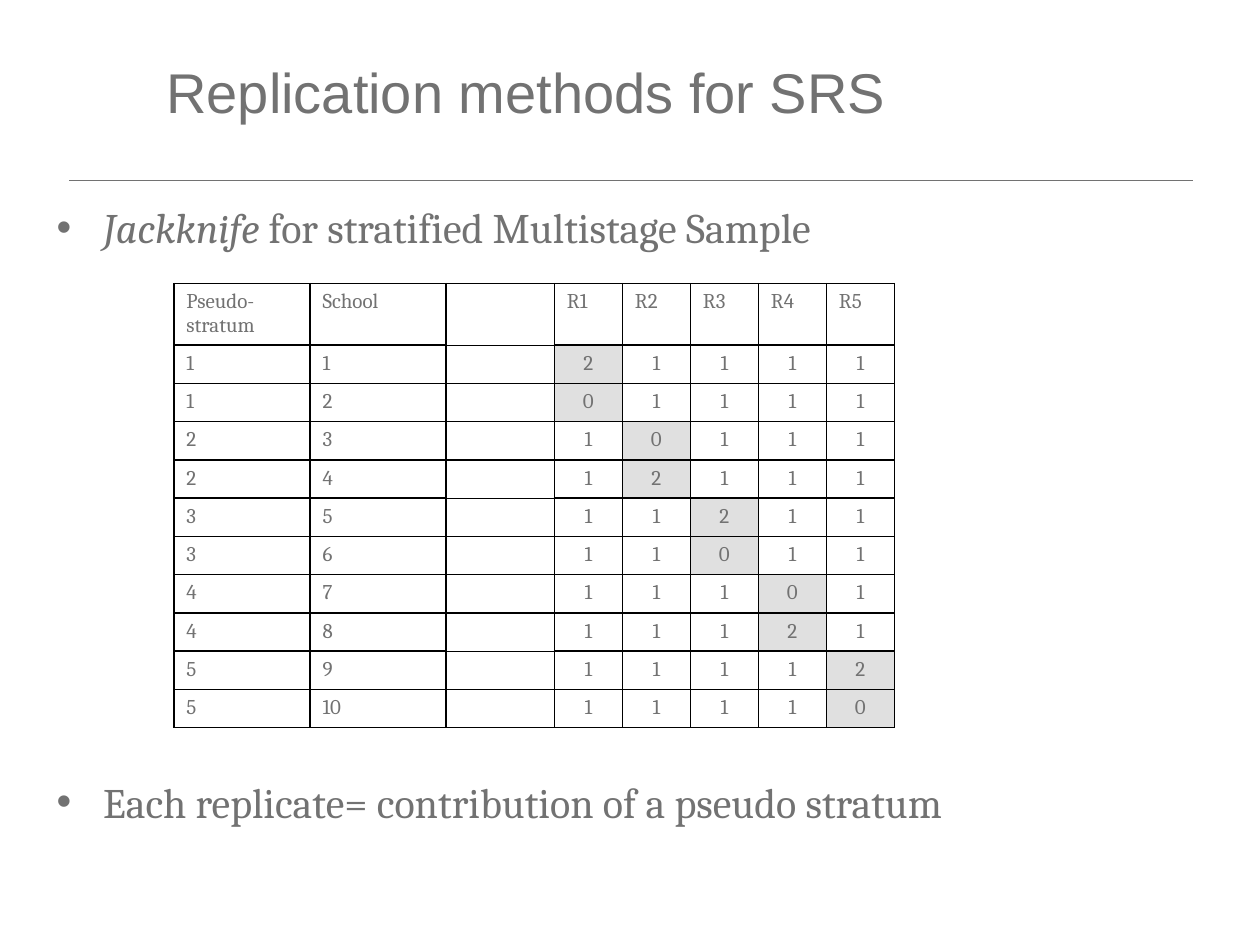
from pptx import Presentation
from pptx.dml.color import RGBColor
from pptx.enum.shapes import MSO_CONNECTOR
from pptx.enum.text import MSO_ANCHOR, PP_ALIGN
from pptx.oxml.ns import qn
from pptx.util import Inches, Pt
from lxml.etree import SubElement

GREY = "727272"
BLACK = "000000"
SHADE = "E0E0E0"
BLANK_COLUMN = 2
FIRST_REPLICATE = 3
REPLICATES = 5
WEIGHT_PAIRS = [(2, 0), (0, 2), (2, 0), (0, 2), (2, 0)]


def color(hex_value):
    return RGBColor.from_string(hex_value)


def add_run(paragraph, text, size, font="Cambria", italic=False):
    run = paragraph.add_run()
    run.text = text
    run.font.name = font
    run.font.size = Pt(size)
    run.font.italic = italic
    run.font.color.rgb = color(GREY)


def set_indent(paragraph, inches):
    properties = paragraph._p.get_or_add_pPr()
    properties.set("marL", str(Inches(inches)))
    properties.set("indent", str(-Inches(inches)))
    return properties


def place_title(slide, left, top, width, height):
    title = slide.shapes.title
    title.left, title.top = Inches(left), Inches(top)
    title.width, title.height = Inches(width), Inches(height)
    frame = title.text_frame
    frame.vertical_anchor = MSO_ANCHOR.MIDDLE
    heading = frame.paragraphs[0]
    heading.alignment = PP_ALIGN.LEFT
    add_run(heading, "Replication methods for SRS", 32, "Arial")


def add_rule(slide, left, top, width):
    rule = slide.shapes.add_connector(
        MSO_CONNECTOR.STRAIGHT,
        Inches(left), Inches(top), Inches(left + width), Inches(top))
    rule.line.color.rgb = color(GREY)
    rule.line.width = Pt(0.5)
    SubElement(rule._element.spPr, qn("a:effectLst"))


def add_bullet(slide, left, top, width, height, phrases):
    box = slide.shapes.add_textbox(
        Inches(left), Inches(top), Inches(width), Inches(height))
    box.text_frame.word_wrap = True
    point = box.text_frame.paragraphs[0]
    point.space_before = Pt(7.6)
    properties = set_indent(point, 0.37)
    bullet_color = SubElement(properties, qn("a:buClr"))
    SubElement(bullet_color, qn("a:srgbClr"), val=GREY)
    SubElement(properties, qn("a:buFont"), typeface="Arial")
    SubElement(properties, qn("a:buChar"), char="•")
    for text, italic in phrases:
        add_run(point, text, 24, italic=italic)


def set_borders(cell, top, bottom):
    properties = cell._tc.get_or_add_tcPr()
    widths = {"L": 1, "R": 1, "T": top, "B": bottom}
    for side, width in widths.items():
        line = SubElement(properties, qn(f"a:ln{side}"), w=str(Pt(width)))
        fill = SubElement(line, qn("a:solidFill"))
        SubElement(fill, qn("a:srgbClr"), val=BLACK)


def border_widths(row, column):
    if column == BLANK_COLUMN:
        return 0.75, 0.75
    if row == 0 or column == 0:
        return 1, 1
    return (1, 0.75) if row % 2 else (0.75, 1)


def table_rows():
    replicates = [f"R{number + 1}" for number in range(REPLICATES)]
    rows = [["Pseudo-\nstratum", "School", "", *replicates]]
    for stratum, pair in enumerate(WEIGHT_PAIRS):
        for member, weight in enumerate(pair):
            weights = ["1"] * REPLICATES
            weights[stratum] = str(weight)
            school = 2 * stratum + member + 1
            rows.append([str(stratum + 1), str(school), "", *weights])
    return rows


def fill_cell(cell, text, row, column):
    set_borders(cell, *border_widths(row, column))
    is_weight = row > 0 and column >= FIRST_REPLICATE
    if is_weight and column - FIRST_REPLICATE == (row - 1) // 2:
        cell.fill.solid()
        cell.fill.fore_color.rgb = color(SHADE)
    else:
        cell.fill.background()
    frame = cell.text_frame
    for index, part in enumerate(text.split("\n")):
        paragraph = frame.add_paragraph() if index else frame.paragraphs[0]
        paragraph.alignment = PP_ALIGN.CENTER if is_weight else PP_ALIGN.JUSTIFY
        set_indent(paragraph, 0.38)
        if part:
            add_run(paragraph, part, 12)
        else:
            paragraph.font.size = Pt(12)


def add_weights_table(slide, left, top, width, height):
    rows = table_rows()
    table = slide.shapes.add_table(
        len(rows), len(rows[0]),
        Inches(left), Inches(top), Inches(width), Inches(height)).table
    table.first_row = False
    table.horz_banding = False
    for column, size in zip(table.columns, [1.08, 1.08, 0.86] + [0.54] * REPLICATES):
        column.width = Inches(size)
    header_height = 0.49
    for index, row in enumerate(table.rows):
        body_height = (height - header_height) / (len(rows) - 1)
        row.height = Inches(body_height if index else header_height)
    for r, texts in enumerate(rows):
        for c, text in enumerate(texts):
            fill_cell(table.cell(r, c), text, r, c)


def main():
    presentation = Presentation()
    presentation.slide_width = Inches(10)
    presentation.slide_height = Inches(7.5)
    slide = presentation.slides.add_slide(presentation.slide_layouts[5])
    add_rule(slide, 0.55, 1.43, 8.92)
    add_weights_table(slide, 1.38, 2.25, 5.72, 3.4)
    place_title(slide, 1.22, 0.32, 7.98, 0.8)
    add_bullet(slide, 0.35, 1.55, 8.99, 0.51,
               [("Jackknife", True), (" for stratified Multistage Sample", False)])
    add_bullet(slide, 0.35, 6.11, 8.35, 0.51,
               [("Each replicate= contribution of a pseudo stratum", False)])
    presentation.save("out.pptx")


if __name__ == "__main__":
    main()
